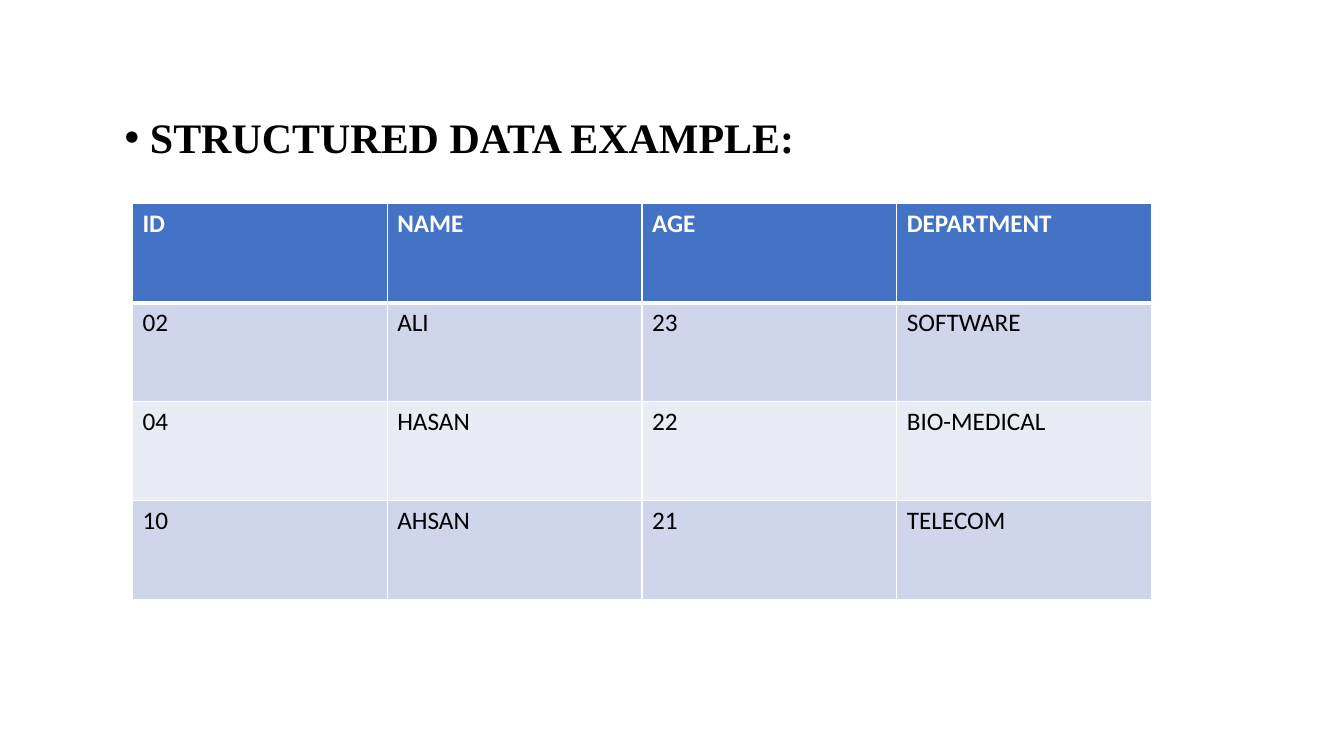
from lxml import etree
from pptx import Presentation
from pptx.dml.color import RGBColor
from pptx.oxml.ns import qn
from pptx.util import Pt

HEADING = "STRUCTURED DATA EXAMPLE:"
RECORDS = [
    ("ID", "NAME", "AGE", "DEPARTMENT"),
    ("02", "ALI", "23", "SOFTWARE"),
    ("04", "HASAN", "22", "BIO-MEDICAL"),
    ("10", "AHSAN", "21", "TELECOM"),
]

BLACK = RGBColor(0x00, 0x00, 0x00)
WHITE = RGBColor(0xFF, 0xFF, 0xFF)
HEADER_BLUE = RGBColor(0x44, 0x72, 0xC4)
BANDS = (RGBColor(0xE9, 0xEB, 0xF5), RGBColor(0xCF, 0xD5, 0xEA))

SLIDE_W, SLIDE_H = 960, 540
HEADING_BOX = (82, 80, 569.5, 64)
TABLE_LEFT, TABLE_TOP = 94.6, 145.6
COLUMN_W, ROW_H = 182, 70.75
BULLET_INDENT = 18
THIN, THICK = 1, 3


def add_bullet(paragraph):
    properties = paragraph._p.get_or_add_pPr()
    properties.set("marL", str(Pt(BULLET_INDENT)))
    properties.set("indent", str(-Pt(BULLET_INDENT)))
    etree.SubElement(properties, qn("a:buFont")).set("typeface", "Arial")
    etree.SubElement(properties, qn("a:buChar")).set("char", "•")


def set_borders(cell, top, bottom):
    """Draw white cell borders; the fill must be set afterwards."""
    properties = cell._tc.get_or_add_tcPr()
    for side, width in (("L", THIN), ("R", THIN), ("T", top), ("B", bottom)):
        line = etree.SubElement(properties, qn(f"a:ln{side}"), w=str(Pt(width)))
        fill = etree.SubElement(line, qn("a:solidFill"))
        etree.SubElement(fill, qn("a:srgbClr"), val=str(WHITE))


def style_font(font, name, size, color, bold):
    font.name = name
    font.size = Pt(size)
    font.color.rgb = color
    font.bold = bold


def add_heading(slide):
    frame = slide.shapes.add_textbox(*map(Pt, HEADING_BOX)).text_frame
    frame.word_wrap = True
    frame.text = HEADING
    paragraph = frame.paragraphs[0]
    paragraph.line_spacing = 0.9
    add_bullet(paragraph)
    style_font(paragraph.runs[0].font, "Times New Roman", 30, BLACK, True)


def add_records(slide):
    rows, columns = len(RECORDS), len(RECORDS[0])
    table = slide.shapes.add_table(
        rows, columns, Pt(TABLE_LEFT), Pt(TABLE_TOP),
        Pt(columns * COLUMN_W), Pt(rows * ROW_H)).table
    for row, record in enumerate(RECORDS):
        is_header = row == 0
        for column, value in enumerate(record):
            cell = table.cell(row, column)
            cell.text = value
            style_font(cell.text_frame.paragraphs[0].runs[0].font, "Calibri", 18,
                       WHITE if is_header else BLACK, is_header)
            set_borders(cell, THICK if row == 1 else THIN,
                        THICK if is_header else THIN)
            cell.fill.solid()
            cell.fill.fore_color.rgb = HEADER_BLUE if is_header else BANDS[row % 2]


def main():
    deck = Presentation()
    deck.slide_width, deck.slide_height = Pt(SLIDE_W), Pt(SLIDE_H)
    slide = deck.slides.add_slide(deck.slide_layouts[6])
    add_heading(slide)
    add_records(slide)
    deck.save("out.pptx")


if __name__ == "__main__":
    main()
